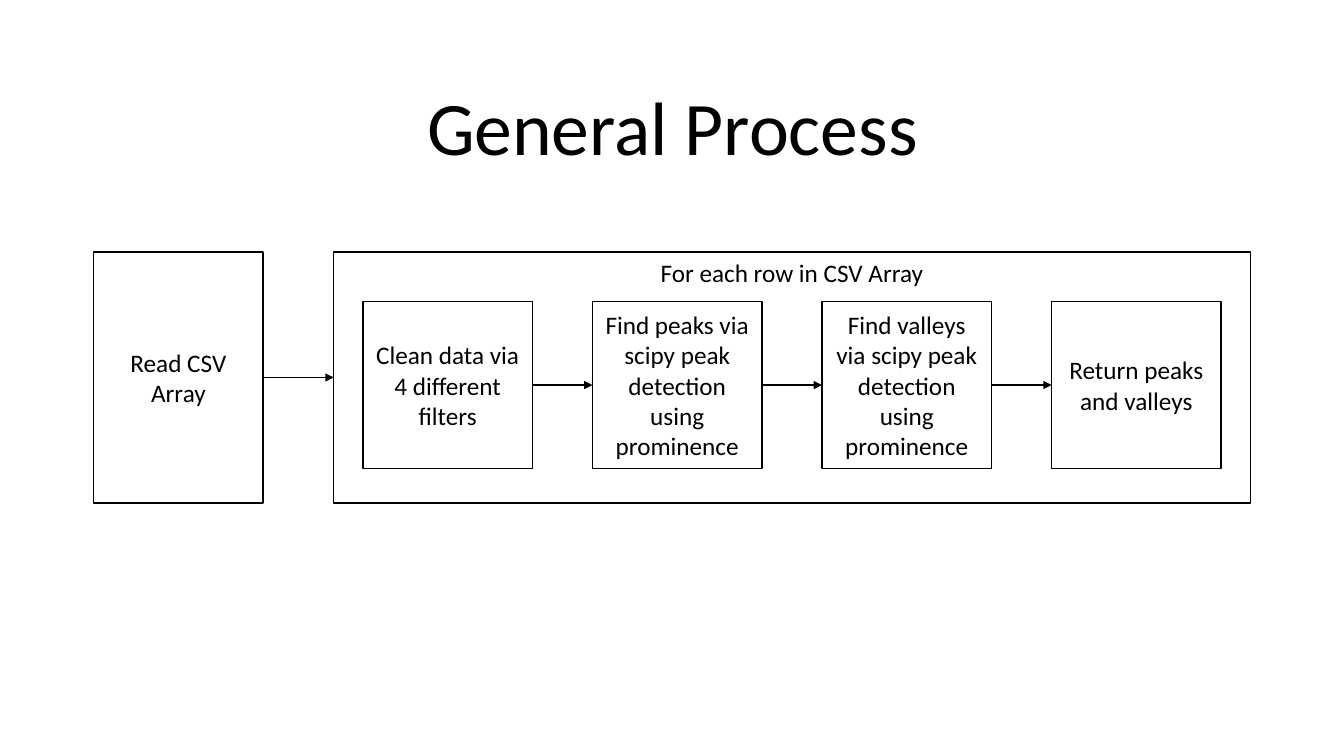
from lxml.etree import SubElement
from pptx import Presentation
from pptx.dml.color import RGBColor
from pptx.enum.shapes import MSO_CONNECTOR, MSO_SHAPE
from pptx.enum.text import MSO_ANCHOR, MSO_AUTO_SIZE, PP_ALIGN
from pptx.oxml.ns import qn
from pptx.util import Inches, Pt

BLACK = RGBColor(0x00, 0x00, 0x00)
WHITE = RGBColor(0xFF, 0xFF, 0xFF)
FONT = "Calibri"

STEPS = [
    "Clean data via 4 different filters",
    "Find peaks via scipy peak detection using prominence",
    "Find valleys via scipy peak detection using prominence",
    "Return peaks and valleys",
]
BOX_WIDTH = 1.68
FIRST_STEP_LEFT, LAST_STEP_LEFT = 3.6, 10.43
STEP_PITCH = (LAST_STEP_LEFT - FIRST_STEP_LEFT) / (len(STEPS) - 1)
RIGHT_SIDE, LEFT_SIDE = 3, 1


def write_text(frame, text, size=18, anchor=MSO_ANCHOR.MIDDLE, wrap=True):
    frame.word_wrap = wrap
    frame.vertical_anchor = anchor
    paragraph = frame.paragraphs[0]
    paragraph.alignment = PP_ALIGN.CENTER
    run = paragraph.add_run()
    run.text = text
    run.font.name = FONT
    run.font.size = Pt(size)
    run.font.color.rgb = BLACK


def add_title(slide, text):
    title = slide.shapes.add_textbox(
        Inches(4.11), Inches(0.74), Inches(5.12), Inches(1.01))
    write_text(title.text_frame, text, size=54, anchor=MSO_ANCHOR.TOP, wrap=False)
    title.text_frame.auto_size = MSO_AUTO_SIZE.SHAPE_TO_FIT_TEXT


def add_box(slide, text, left, top, width, height, **text_format):
    box = slide.shapes.add_shape(
        MSO_SHAPE.RECTANGLE,
        Inches(left), Inches(top), Inches(width), Inches(height))
    box.shadow.inherit = False
    box.fill.solid()
    box.fill.fore_color.rgb = WHITE
    box.line.color.rgb = BLACK
    box.line.width = Pt(1)
    write_text(box.text_frame, text, **text_format)
    return box


def add_arrow(slide, source, target):
    arrow = slide.shapes.add_connector(MSO_CONNECTOR.STRAIGHT, 0, 0, 0, 0)
    arrow.begin_connect(source, RIGHT_SIDE)
    arrow.end_connect(target, LEFT_SIDE)
    arrow.line.color.rgb = BLACK
    arrow.line.width = Pt(1)
    # Arrowhead at the target, no shadow
    SubElement(arrow.line._get_or_add_ln(), qn("a:tailEnd"), type="triangle")
    SubElement(arrow._element.spPr, qn("a:effectLst"))


def main():
    prs = Presentation()
    prs.slide_width, prs.slide_height = Inches(13.33), Inches(7.5)
    slide = prs.slides.add_slide(prs.slide_layouts[6])

    # Input and the loop over its rows
    read_csv = add_box(slide, "Read CSV Array", 0.93, 2.5, BOX_WIDTH, 2.49)
    row_loop = add_box(slide, "For each row in CSV Array", 3.31, 2.5, 9.09, 2.49,
                       anchor=MSO_ANCHOR.TOP)

    # Steps inside the loop
    steps = [
        add_box(slide, text, FIRST_STEP_LEFT + i * STEP_PITCH, 2.99, BOX_WIDTH, 1.66)
        for i, text in enumerate(STEPS)
    ]

    # Flow arrows
    add_arrow(slide, read_csv, row_loop)
    for source, target in zip(steps, steps[1:]):
        add_arrow(slide, source, target)

    add_title(slide, "General Process")
    prs.save("out.pptx")


if __name__ == "__main__":
    main()
